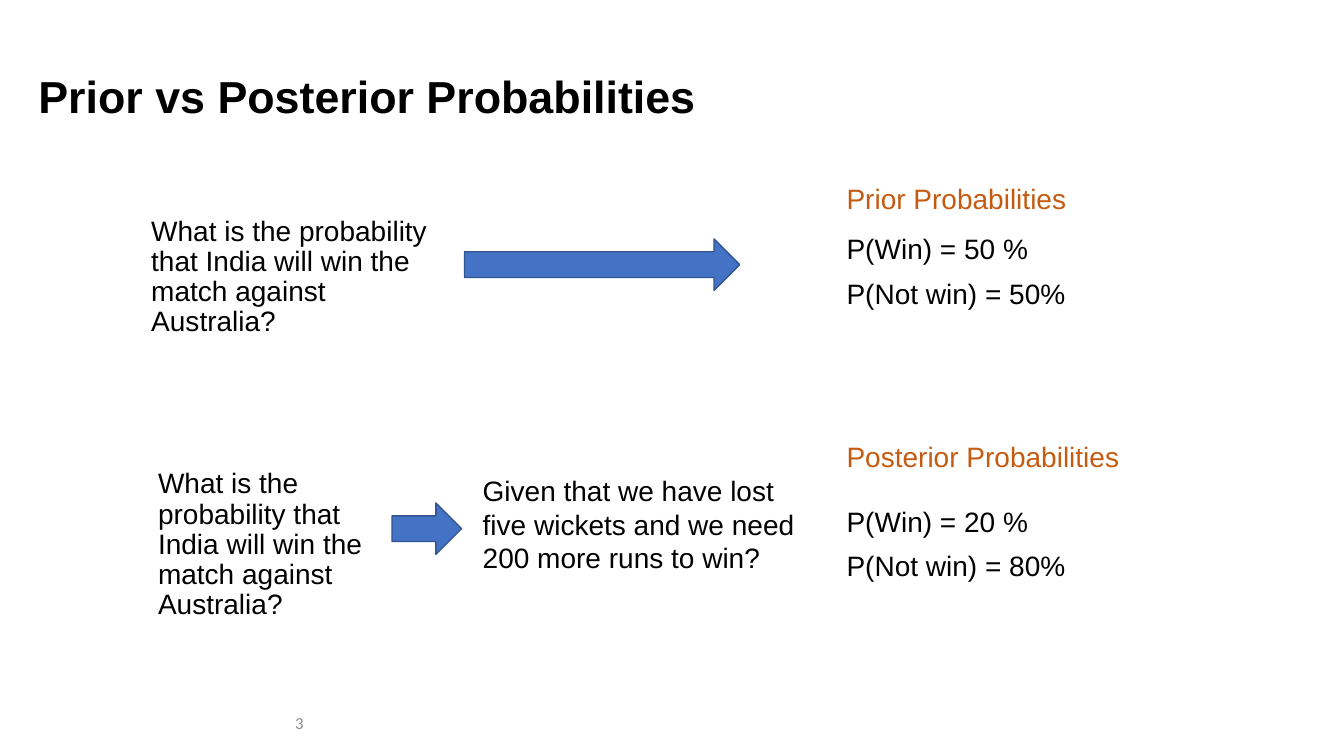
from pptx import Presentation
from pptx.dml.color import RGBColor
from pptx.enum.shapes import MSO_SHAPE
from pptx.enum.text import MSO_ANCHOR, MSO_AUTO_SIZE, PP_ALIGN
from pptx.oxml.ns import qn
from pptx.util import Pt

BLACK, ORANGE, GREY, BLUE, NAVY = "000000", "C55A11", "8C8C8C", "4472C4", "325491"
QUESTION = "What is the probability that India will win the match against Australia?"
LOWERED = 37.5


def color(hex_code):
    """Turn a hex string into a colour."""
    return RGBColor.from_string(hex_code)


def place(part, left, top, width, height):
    """Move a part to a position given in points."""
    part.left, part.top, part.width, part.height = map(Pt, (left, top, width, height))


def write(part, lines, size=20, font="Arial", ink=BLACK, bold=False, align=PP_ALIGN.LEFT,
          spacing=0.9, before=10, inset=3.6, anchor=MSO_ANCHOR.TOP):
    """Fill a part with plain, unbulleted paragraphs."""
    frame = part.text_frame
    frame.text = "\n".join(lines)
    frame.word_wrap = True
    frame.auto_size = MSO_AUTO_SIZE.NONE
    frame.vertical_anchor = anchor
    frame.margin_top = Pt(inset)
    for paragraph in frame.paragraphs:
        paragraph.alignment = align
        paragraph.line_spacing = spacing
        paragraph.space_before = Pt(before)
        paragraph.font.size = Pt(size)
        paragraph.font.name = font
        paragraph.font.bold = bold
        paragraph.font.color.rgb = color(ink)


def add_text(slide, box, lines, **style):
    """Add a text box in the given box."""
    write(slide.shapes.add_textbox(*map(Pt, box)), lines, **style)


def add_arrow(slide, box):
    """Add a blue arrow pointing right."""
    arrow = slide.shapes.add_shape(MSO_SHAPE.RIGHT_ARROW, *map(Pt, box))
    arrow.shadow.inherit = False
    arrow.fill.solid()
    arrow.fill.fore_color.rgb = color(BLUE)
    arrow.line.color.rgb = color(NAVY)
    arrow.line.width = Pt(1)


def add_heading(slide, left, top, width, height):
    """Set the slide title."""
    heading = slide.shapes.title
    place(heading, left, top, width, height)
    write(heading, ["Prior vs Posterior Probabilities"], size=32, bold=True, before=0,
          anchor=MSO_ANCHOR.MIDDLE)


def add_prior(slide, left, top):
    """Show the question and its prior probabilities."""
    question = slide.placeholders[1]
    place(question, left, top, 231, 144)
    write(question, [QUESTION], inset=LOWERED)
    properties = question.text_frame.paragraphs[0]._p.get_or_add_pPr()
    properties.set("marL", "0")
    properties.set("indent", "0")
    bullet = properties.makeelement(qn("a:buNone"), {})
    properties.find(qn("a:spcBef")).addnext(bullet)
    add_arrow(slide, (left + 231, top + 53.3, 196.6, 36.7))
    add_text(slide, (left + 496.8, top + 47.5, 186, 67.7), ["P(Win) = 50 %", "P(Not win) = 50%"])
    add_text(slide, (left + 496.8, top + 11.5, 186, 67.7), ["Prior Probabilities"], ink=ORANGE)


def add_posterior(slide, left, top):
    """Show the question, the evidence and the posterior probabilities."""
    add_text(slide, (left, top, 186.5, 152), [QUESTION], inset=LOWERED)
    add_arrow(slide, (left + 174.2, top + 61.2, 49.7, 36.7))
    add_text(slide, (left + 231.9, top + 36.7, 250.6, 80),
             ["Given that we have lost five wickets and we need 200 more runs to win?"],
             spacing=1.0, before=0)
    add_text(slide, (left + 491.8, top + 27.4, 186, 144),
             ["P(Win) = 20 %", "P(Not win) = 80%"], inset=LOWERED)
    add_text(slide, (left + 491.8, top + 15.1, 215.3, 67.7), ["Posterior Probabilities"],
             ink=ORANGE)


def main():
    """Build and save the slide."""
    deck = Presentation()
    deck.slide_width, deck.slide_height = Pt(960), Pt(540)
    slide = deck.slides.add_slide(deck.slide_layouts[1])
    add_heading(slide, 20.2, 18.7, 828, 104.4)
    add_prior(slide, 100.8, 117.4)
    add_posterior(slide, 105.8, 298.1)
    add_text(slide, (165.6, 501.8, 58.3, 28.8), ["3"], size=12, font="Calibri", ink=GREY,
             align=PP_ALIGN.RIGHT, spacing=1.0, before=0, anchor=MSO_ANCHOR.MIDDLE)
    deck.save("out.pptx")


if __name__ == "__main__":
    main()
